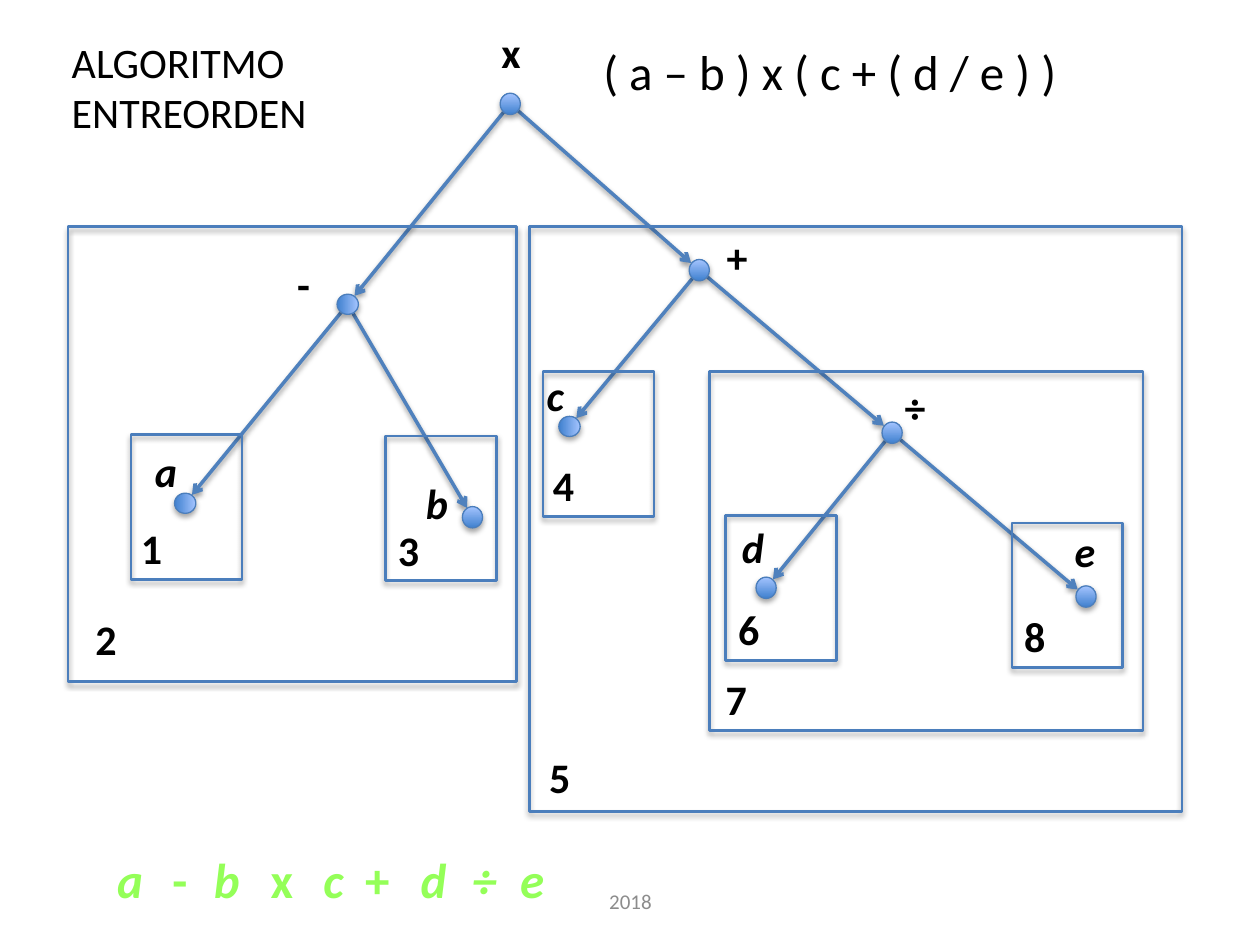
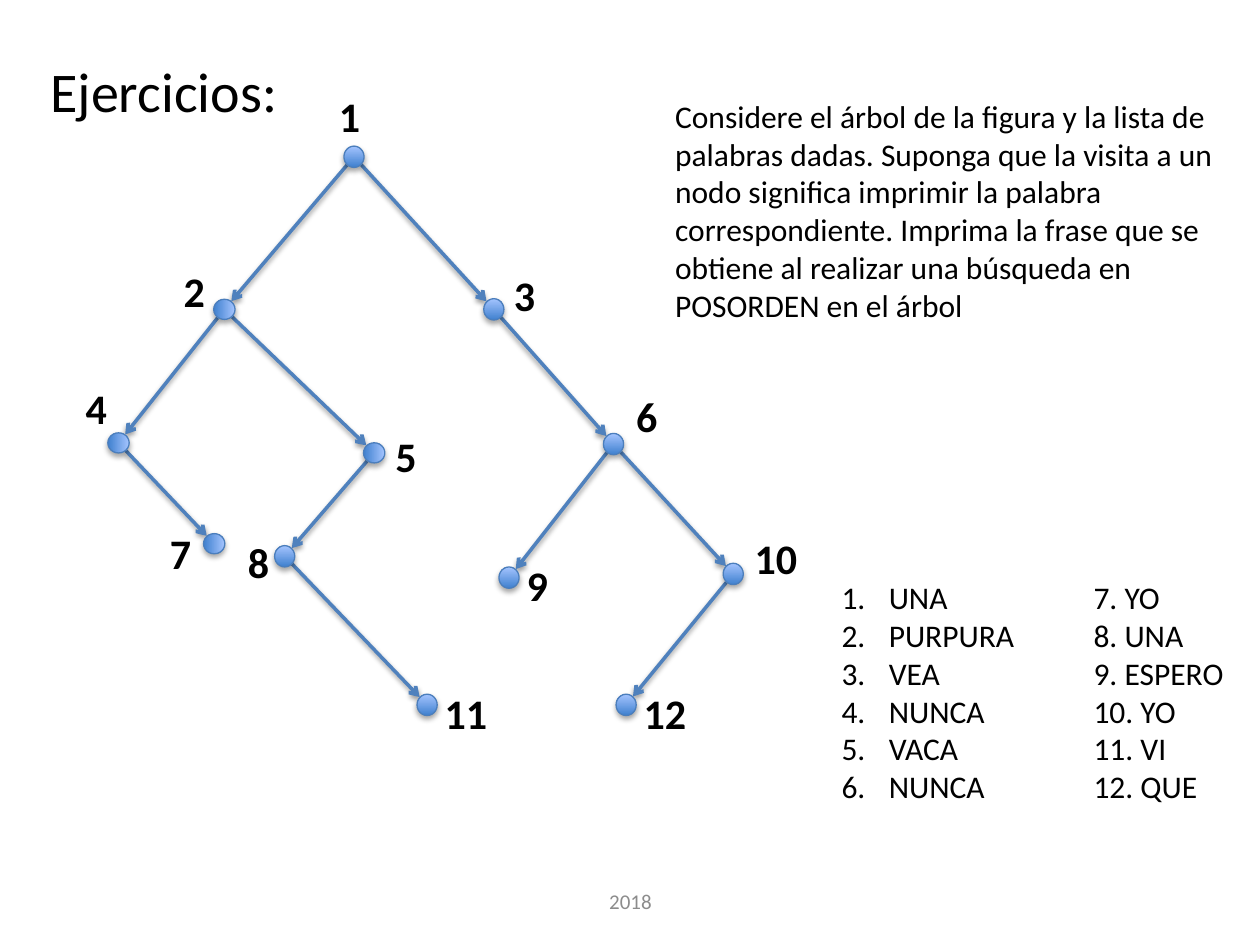
from collections import namedtuple
from math import hypot

from lxml.etree import SubElement
from pptx import Presentation
from pptx.dml.color import RGBColor
from pptx.enum.shapes import MSO_CONNECTOR as Connector, MSO_SHAPE as Shape
from pptx.enum.text import MSO_ANCHOR as Anchor, MSO_AUTO_SIZE as AutoSize, PP_ALIGN as Align
from pptx.oxml.ns import qn
from pptx.util import Pt

COLORS = {
    "text": "000000", "footer": "8C8C8C",
    "node_dark": "3F80CE", "node_light": "A4C4FF", "outline": "4B7EBC",
    "arrow": "4F81BD", "shadow": "000000",
    "result": "94FF58", "result_edge": "295E12",
}
FONT = "Calibri"
NODE_WIDTH, NODE_HEIGHT = 11.5, 12.2
LABEL_WIDTH, LABEL_HEIGHT = 48, 36
ARROW_GAP = 6.2
LEAF_WIDTH, LEAF_HEIGHT = 63.4, 82.8

Box = namedtuple("Box", "left top width height")
# x and y are the centre; label_x and label_y lead from there to the label's corner.
Node = namedtuple("Node", "x y label_x label_y parent turned", defaults=(None, False))
# The number sits "rise" above the lower edge of the frame.
Frame = namedtuple("Frame", "left top width height indent rise",
                   defaults=(LEAF_WIDTH, LEAF_HEIGHT, 0, 36))

TREE_BOX = Box(36, 36, 648, 432)
FOOTER_BOX = Box(246.2, 500.4, 228.2, 28.8)

EXPRESSION_NODES = {
    "x": Node(255.6, 23.4, -12.2, -47.9),
    "-": Node(162.7, 137.9, -36, -29.9, "x", True),
    "+": Node(363.6, 118.4, 8.6, -25.5, "x"),
    "a": Node(69.8, 251.6, -24.4, -36.3, "-", True),
    "b": Node(234, 259.6, -33.8, -26.3, "-"),
    "c": Node(289.4, 207.7, -20.1, -36.3, "+", True),
    "÷": Node(473.8, 211.3, 0, -32.7, "+"),
    "d": Node(401.8, 299.9, -20.9, -41.4, "÷"),
    "e": Node(584.6, 304.9, -13.6, -44.3, "÷"),
}
VISIT_FRAMES = {
    "1": Frame(38.9, 212.4, indent=-1.4),
    "2": Frame(2.9, 93.6, 256.3, 259.9, 8.6, 42.5),
    "3": Frame(184.3, 213.1),
    "4": Frame(274.3, 176.4, indent=-1.4),
    "5": Frame(266.4, 93.6, 373, 334.1, 4.3, 38),
    "6": Frame(378.7, 258.5),
    "7": Frame(369.4, 176.4, 247.7, 205.2, 2.2),
    "8": Frame(542.2, 262.8),
}
RESULT = {"a": 0, "-": 31.6, "b": 55.4, "x": 87.8, "c": 118, "+": 141.8,
          "d": 173.5, "÷": 203, "e": 230.4}

WORD_NODES = {
    "1": Node(166.3, 53.6, -15.8, -41.4),
    "2": Node(92.2, 140.8, -30.3, -28.5, "1", True),
    "3": Node(246.2, 140.8, 4.4, -26.3, "1"),
    "4": Node(31.7, 217.1, -25.9, -37.8, "2", True),
    "5": Node(177.8, 222.8, 5.1, -16.2, "2", True),
    "6": Node(314.6, 217.8, 5.8, -34.2, "3"),
    "7": Node(86.4, 274.7, -32.4, -12.6, "4", True),
    "8": Node(126.7, 281.9, -28.1, -14.8, "5"),
    "9": Node(254.9, 294.1, 2.9, -14, "6"),
    "10": Node(383, 292, 5.1, -27, "6"),
    "11": Node(208.1, 366.8, 2.9, -13.3, "8"),
    "12": Node(321.8, 366.8, 2.9, -13.3, "10"),
}
WORDS = ["UNA", "PURPURA", "VEA", "NUNCA", "VACA", "NUNCA",
         "YO", "UNA", "ESPERO", "YO", "VI", "QUE"]
EXERCISE = ("Considere el árbol de la figura y la lista de palabras dadas. Suponga que la "
            "visita a un nodo significa imprimir la palabra correspondiente. Imprima la frase "
            "que se obtiene al realizar una búsqueda en POSORDEN en el árbol")


def rgb(name):
    return RGBColor.from_string(COLORS[name])


def points(*values):
    return [Pt(value) for value in values]


def format_runs(frame, size, color="text", bold=False, italic=False):
    for para in frame.paragraphs:
        for span in para.runs:
            font = span.font
            font.name, font.size, font.bold, font.italic = FONT, Pt(size), bold, italic
            font.color.rgb = rgb(color)


def add_text(page, box, text, size, **style):
    frame = page.shapes.add_textbox(*points(*box)).text_frame
    frame.word_wrap = True
    frame.text = text
    format_runs(frame, size, **style)
    return frame


def add_color(parent, name, alpha=None):
    color = SubElement(parent, qn("a:srgbClr"), val=COLORS[name])
    if alpha:
        SubElement(color, qn("a:alpha"), val=str(alpha * 1000))


def add_shadow(shape, distance, alpha):
    """Drop a soft shadow straight down; call it after fill and line are set."""
    effects = SubElement(shape._element.spPr, qn("a:effectLst"))
    shadow = SubElement(effects, qn("a:outerShdw"), blurRad=str(Pt(3.1)),
                        dist=str(Pt(distance)), dir="5400000", rotWithShape="0")
    add_color(shadow, "shadow", alpha)


def add_outlined(page, kind, box, line_width):
    shape = page.shapes.add_shape(kind, *points(*box))
    shape.fill.background()
    shape.line.color.rgb = rgb("outline")
    shape.line.width = Pt(line_width)
    add_shadow(shape, 1.8, 35)
    return shape


def add_node(page, x, y, turned):
    box = Box(x - NODE_WIDTH / 2, y - NODE_HEIGHT / 2, NODE_WIDTH, NODE_HEIGHT)
    dot = add_outlined(page, Shape.OVAL, box, 0.75)
    dot.fill.gradient()
    dot.fill.gradient_angle = 90
    for stop, name in zip(dot.fill.gradient_stops, ("node_dark", "node_light")):
        stop.color.rgb = rgb(name)
    dot.rotation = 90 if turned else 0


def add_arrow(page, start, end):
    """Join two node centres, stopping at the rim of each node."""
    run, drop = end[0] - start[0], end[1] - start[1]
    gap_x, gap_y = (ARROW_GAP * part / hypot(run, drop) for part in (run, drop))
    arrow = page.shapes.add_connector(Connector.STRAIGHT, *points(
        start[0] + gap_x, start[1] + gap_y, end[0] - gap_x, end[1] - gap_y))
    arrow.line.color.rgb = rgb("arrow")
    arrow.line.width = Pt(2)
    SubElement(arrow.line._get_or_add_ln(), qn("a:tailEnd"), type="arrow")
    add_shadow(arrow, 1.6, 38)


def add_tree(page, box, nodes):
    centres = {name: (box.left + node.x, box.top + node.y) for name, node in nodes.items()}
    for name, node in nodes.items():
        if node.parent:
            add_arrow(page, centres[node.parent], centres[name])
    for name, node in nodes.items():
        x, y = centres[name]
        add_node(page, x, y, node.turned)
        label_box = Box(x + node.label_x, y + node.label_y, LABEL_WIDTH, LABEL_HEIGHT)
        add_text(page, label_box, name, 24, bold=True, italic=name in "abcde")


def add_visit_frames(page, box, frames):
    for number, frame in frames.items():
        left, top = box.left + frame.left, box.top + frame.top
        add_outlined(page, Shape.RECTANGLE, Box(left, top, frame.width, frame.height), 1.5)
        number_box = Box(left + frame.indent, top + frame.height - frame.rise, 31, LABEL_HEIGHT)
        add_text(page, number_box, number, 24, bold=True)


def add_result(page, box):
    for symbol, offset in RESULT.items():
        frame = add_text(page, Box(box.left + offset, box.top, 31, box.height), symbol, 28,
                         color="result", bold=True, italic=symbol in "abcde÷")
        properties = frame.paragraphs[0].runs[0].font._element
        edge = SubElement(properties, qn("a:ln"), w=str(Pt(0.75)))
        add_color(SubElement(edge, qn("a:solidFill")), "result_edge")
        properties.insert(0, edge)


def add_word_list(page, box):
    """Number the first half of the words; a tab leads to the second half."""
    half = len(WORDS) // 2
    lines = [f"{WORDS[row]}\t{row + half + 1}. {WORDS[row + half]}" for row in range(half)]
    frame = add_text(page, box, "\n".join(lines), 18)
    for para in frame.paragraphs:
        properties = para._p.get_or_add_pPr()
        properties.set("marL", str(Pt(27)))
        properties.set("indent", str(-Pt(27)))
        SubElement(properties, qn("a:buAutoNum"), type="arabicPeriod")
        tabs = SubElement(properties, qn("a:tabLst"))
        SubElement(tabs, qn("a:tab"), pos=str(Pt(144)), algn="l")


def add_page(deck, title, title_box, title_size):
    page = deck.slides.add_slide(deck.slide_layouts[5])
    holder = page.shapes.title
    holder.left, holder.top, holder.width, holder.height = points(*title_box)
    frame = holder.text_frame
    frame.text = title
    frame.auto_size = AutoSize.NONE
    frame.word_wrap = True
    frame.vertical_anchor = Anchor.TOP
    frame.paragraphs[0].alignment = Align.LEFT
    format_runs(frame, title_size)

    footer = add_text(page, FOOTER_BOX, "2018", 12, color="footer")
    footer.vertical_anchor = Anchor.MIDDLE
    footer.paragraphs[0].alignment = Align.CENTER
    return page


def build_inorder_page(deck):
    page = add_page(deck, "ALGORITMO ENTREORDEN", Box(33.8, 17.3, 202.3, 65.5), 24)
    add_text(page, Box(337.7, 20.2, 355.7, 41), "( a – b ) x ( c + ( d / e ) )", 28)
    add_tree(page, TREE_BOX, EXPRESSION_NODES)
    add_visit_frames(page, TREE_BOX, VISIT_FRAMES)
    add_result(page, Box(59.8, 481.7, 262, 41))


def build_exercise_page(deck):
    page = add_page(deck, "Ejercicios:", Box(21.6, 28.8, 251.3, 46), 32)
    add_tree(page, TREE_BOX, WORD_NODES)
    add_word_list(page, Box(473.8, 326.9, 239.8, 138.2))
    add_text(page, Box(378.7, 51.8, 358.6, 138.2), EXERCISE, 18)


def main():
    deck = Presentation()
    deck.slide_width, deck.slide_height = points(720, 540)
    build_inorder_page(deck)
    build_exercise_page(deck)
    deck.save("out.pptx")


if __name__ == "__main__":
    main()
